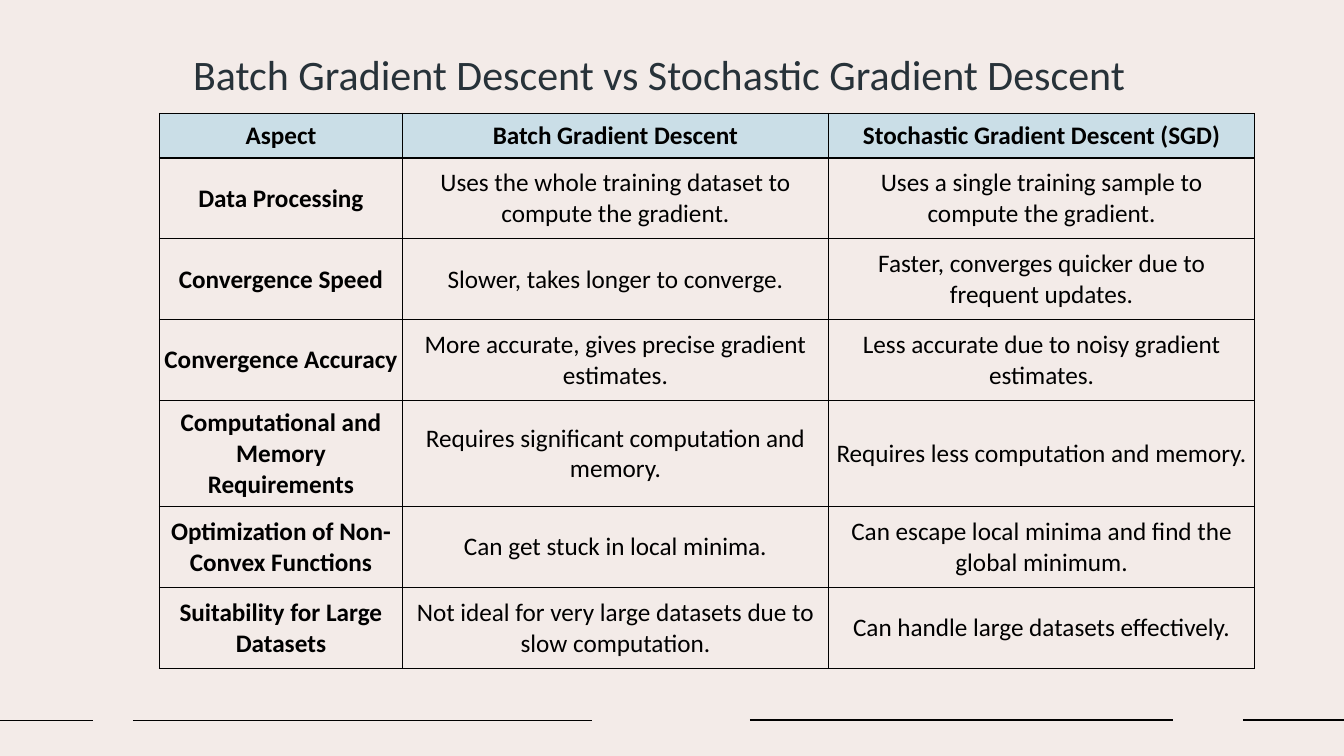
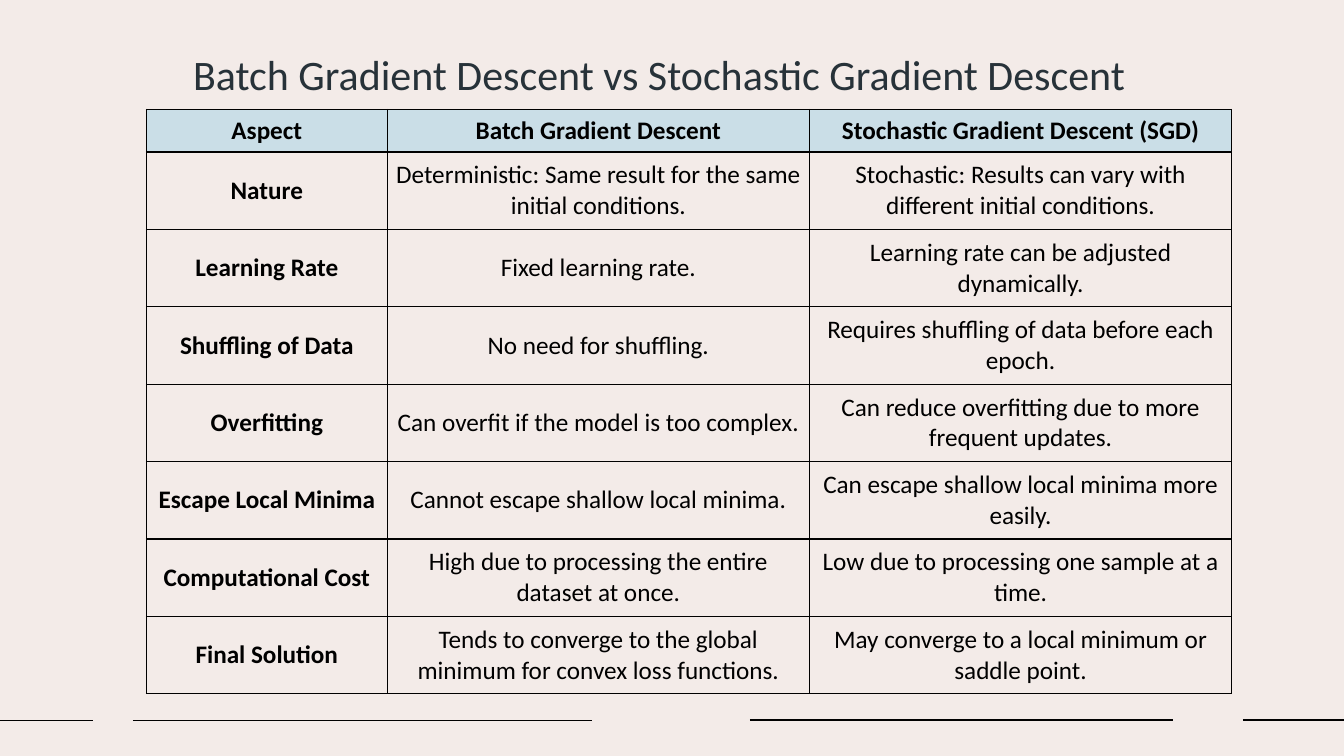
"""Build two slides that compare batch and stochastic gradient descent."""
import dataclasses
import typing

import lxml.etree
import pptx
import pptx.dml.color
import pptx.enum.shapes
import pptx.enum.text
import pptx.oxml.ns
import pptx.slide
import pptx.table
import pptx.text.text
import pptx.util

Cm = pptx.util.Cm
Pt = pptx.util.Pt
Row = tuple[str, str, str]


@dataclasses.dataclass(frozen=True)
class Theme:
    font: str = "Calibri"
    paper: str = "F3EBE8"
    head: str = "CADEE7"
    ink: str = "000000"
    title: str = "273239"
    big: float = 30
    small: float = 18
    line: float = 1


class Rule(typing.NamedTuple):
    start: float
    end: float
    top: float


class Grid(typing.NamedTuple):
    left: float
    top: float
    cols: tuple[float, ...]
    head: float
    high: float
    rows: tuple[Row, ...]
    tall: dict[int, float]


THEME = Theme()
TITLE = "Batch Gradient Descent vs Stochastic Gradient Descent"
HEAD: Row = ("Aspect", "Batch Gradient Descent", "Stochastic Gradient Descent (SGD)")
RULES = (
    Rule(0, 2.34, 18.16),
    Rule(3.35, 14.91, 18.16),
    Rule(18.9, 29.57, 18.14),
    Rule(31.32, 33.87, 18.14),
)
GRIDS = (
    Grid(4.02, 2.86, (6.12, 10.74, 10.74), 1.12, 2.04, (
        ("Data Processing",
         "Uses the whole training dataset to compute the gradient.",
         "Uses a single training sample to compute the gradient."),
        ("Convergence Speed",
         "Slower, takes longer to converge.",
         "Faster, converges quicker due to frequent updates."),
        ("Convergence Accuracy",
         "More accurate, gives precise gradient estimates.",
         "Less accurate due to noisy gradient estimates."),
        ("Computational and Memory Requirements",
         "Requires significant computation and memory.",
         "Requires less computation and memory."),
        ("Optimization of Non-Convex Functions",
         "Can get stuck in local minima.",
         "Can escape local minima and find the global minimum."),
        ("Suitability for Large Datasets",
         "Not ideal for very large datasets due to slow computation.",
         "Can handle large datasets effectively."),
    ), {4: 2.67}),
    Grid(3.69, 2.76, (6.07, 10.64, 10.64), 1.07, 1.95, (
        ("Nature",
         "Deterministic: Same result for the same initial conditions.",
         "Stochastic: Results can vary with different initial conditions."),
        ("Learning Rate",
         "Fixed learning rate.",
         "Learning rate can be adjusted dynamically."),
        ("Shuffling of Data",
         "No need for shuffling.",
         "Requires shuffling of data before each epoch."),
        ("Overfitting",
         "Can overfit if the model is too complex.",
         "Can reduce overfitting due to more frequent updates."),
        ("Escape Local Minima",
         "Cannot escape shallow local minima.",
         "Can escape shallow local minima more easily."),
        ("Computational Cost",
         "High due to processing the entire dataset at once.",
         "Low due to processing one sample at a time."),
        ("Final Solution",
         "Tends to converge to the global minimum for convex loss functions.",
         "May converge to a local minimum or saddle point."),
    ), {}),
)


def tint(code: str) -> pptx.dml.color.RGBColor:
    return pptx.dml.color.RGBColor.from_string(code)


def write(frame: pptx.text.text.TextFrame, text: str, size: float,
          shade: str, bold: bool = False) -> None:
    frame.word_wrap = True
    para = frame.paragraphs[0]
    para.alignment = pptx.enum.text.PP_ALIGN.CENTER
    run = para.add_run()
    run.text = text
    run.font.name = THEME.font
    run.font.size = Pt(size)
    run.font.bold = bold
    run.font.color.rgb = tint(shade)


def draw_rule(slide: pptx.slide.Slide, rule: Rule) -> None:
    line = slide.shapes.add_connector(
        pptx.enum.shapes.MSO_CONNECTOR.STRAIGHT,
        Cm(rule.start), Cm(rule.top), Cm(rule.end), Cm(rule.top))
    line.line.color.rgb = tint(THEME.ink)
    line.line.width = Pt(THEME.line)
    props = line._element.spPr
    lxml.etree.SubElement(props, pptx.oxml.ns.qn("a:effectLst"))


def draw_title(slide: pptx.slide.Slide) -> None:
    box = slide.shapes.add_textbox(Cm(4.02), Cm(1.1), Cm(25.2), Cm(1.54))
    write(box.text_frame, TITLE, THEME.big, THEME.title)
    box.text_frame.auto_size = pptx.enum.text.MSO_AUTO_SIZE.SHAPE_TO_FIT_TEXT


def edge(cell: pptx.table._Cell) -> None:
    props = cell._tc.get_or_add_tcPr()
    for side in ("a:lnL", "a:lnR", "a:lnT", "a:lnB"):
        line = lxml.etree.SubElement(props, pptx.oxml.ns.qn(side), w=str(Pt(THEME.line)))
        fill = lxml.etree.SubElement(line, pptx.oxml.ns.qn("a:solidFill"))
        lxml.etree.SubElement(fill, pptx.oxml.ns.qn("a:srgbClr"), val=THEME.ink)


def fill_cell(cell: pptx.table._Cell, text: str, top: bool, first: bool) -> None:
    edge(cell)
    cell.fill.solid()
    cell.fill.fore_color.rgb = tint(THEME.head if top else THEME.paper)
    cell.vertical_anchor = pptx.enum.text.MSO_ANCHOR.MIDDLE
    cell.margin_left = cell.margin_right = Cm(0.08 if first else 0.15)
    cell.margin_top = cell.margin_bottom = Cm(0.15 if top else 0.13 if first else 0.2)
    write(cell.text_frame, text, THEME.small, THEME.ink, top or first)


def draw_grid(slide: pptx.slide.Slide, grid: Grid) -> None:
    rows = (HEAD, *grid.rows)
    highs = [grid.head] + [grid.tall.get(i, grid.high) for i in range(1, len(rows))]
    table = slide.shapes.add_table(
        len(rows), len(grid.cols), Cm(grid.left), Cm(grid.top),
        Cm(sum(grid.cols)), Cm(sum(highs))).table
    table.horz_banding = False
    for col, wide in zip(table.columns, grid.cols):
        col.width = Cm(wide)
    for i, (row, high) in enumerate(zip(rows, highs)):
        table.rows[i].height = Cm(high)
        for j, text in enumerate(row):
            fill_cell(table.cell(i, j), text, i == 0, j == 0)


def main() -> None:
    deck = pptx.Presentation()
    deck.slide_width, deck.slide_height = Cm(33.87), Cm(19.05)
    back = deck.slide_master.background.fill
    back.solid()
    back.fore_color.rgb = tint(THEME.paper)
    for grid in GRIDS:
        slide = deck.slides.add_slide(deck.slide_layouts[6])
        for rule in RULES:
            draw_rule(slide, rule)
        draw_title(slide)
        draw_grid(slide, grid)
    deck.save("out.pptx")


if __name__ == "__main__":
    main()
